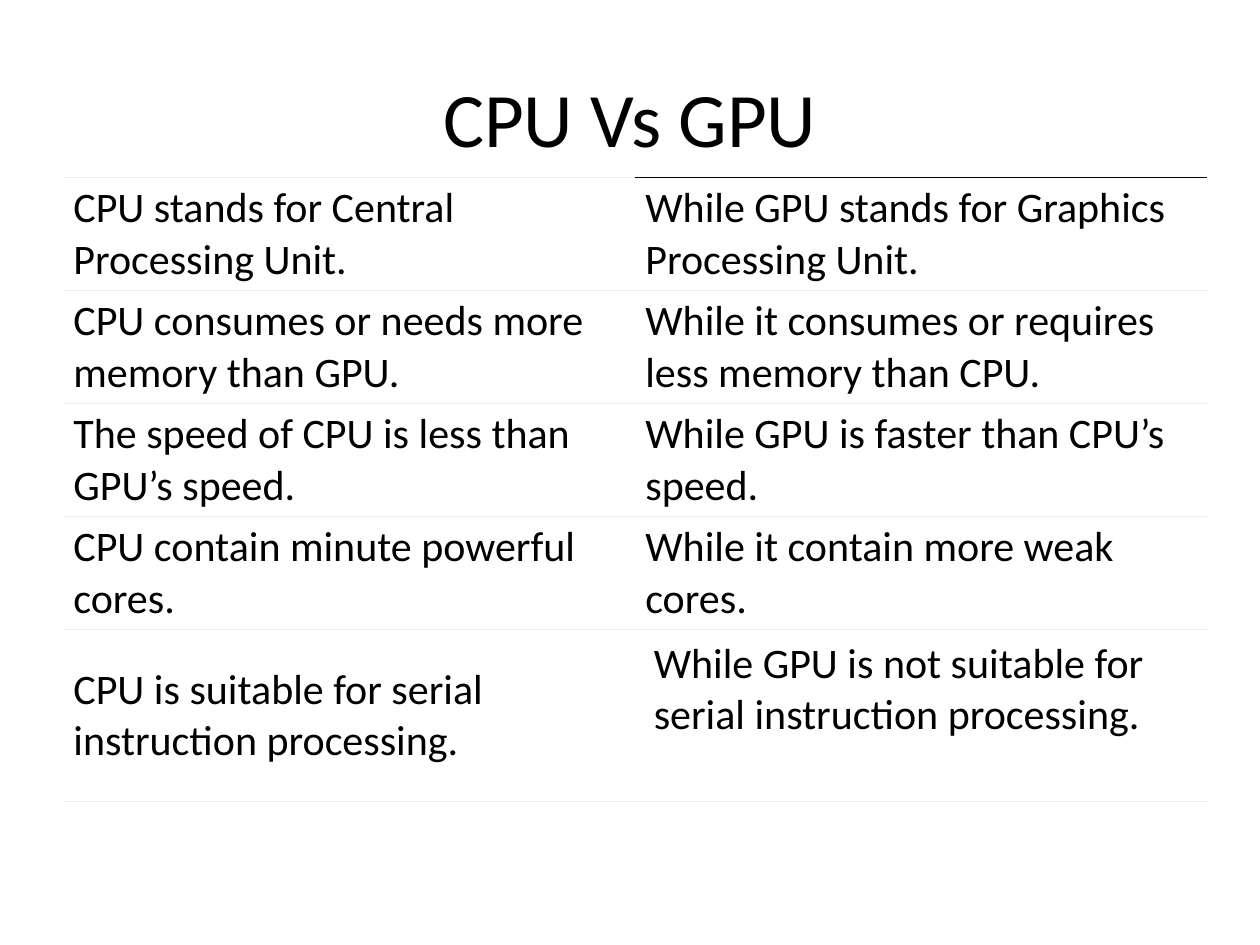
from lxml.etree import SubElement
from pptx import Presentation
from pptx.dml.color import RGBColor
from pptx.enum.text import MSO_ANCHOR, PP_ALIGN
from pptx.oxml.ns import qn
from pptx.util import Cm, Pt

COLORS = {"text": "000000", "background": "FFFFFF", "rule": "EDEDED", "accent": "000000"}
FONT = "Calibri"
COMPARISON = [
    ("CPU stands for Central Processing Unit.",
     "While GPU stands for Graphics Processing Unit."),
    ("CPU consumes or needs more memory than GPU.",
     "While it consumes or requires less memory than CPU."),
    ("The speed of CPU is less than GPU’s speed.",
     "While GPU is faster than CPU’s speed."),
    ("CPU contain minute powerful cores.",
     "While it contain more weak cores."),
    ("CPU is suitable for serial instruction processing.",
     "While GPU is not suitable for serial instruction processing."),
    ("", ""),
]
ROW_HEIGHTS = [2.28] * 4 + [3.46, 1.04]


def format_text(text_frame, size):
    for paragraph in text_frame.paragraphs:
        for run in paragraph.runs:
            run.font.name = FONT
            run.font.size = Pt(size)
            run.font.color.rgb = RGBColor.from_string(COLORS["text"])


def add_title(slide, text):
    title = slide.shapes.title
    title.left, title.top, title.width, title.height = Cm(1.27), Cm(0.76), Cm(22.86), Cm(3.18)
    text_frame = title.text_frame
    text_frame.text = text
    text_frame.vertical_anchor = MSO_ANCHOR.MIDDLE
    text_frame.paragraphs[0].alignment = PP_ALIGN.CENTER
    format_text(text_frame, 44)


def set_border(cell, side, color=None, width=0.75):
    line = SubElement(cell._tc.get_or_add_tcPr(), qn(f"a:ln{side}"), w=str(Pt(width)))
    if color is None:
        SubElement(line, qn("a:noFill"))
    else:
        fill = SubElement(line, qn("a:solidFill"))
        SubElement(fill, qn("a:srgbClr"), val=COLORS[color])


def set_margins(cell, horizontal, vertical):
    cell.margin_left = cell.margin_right = Cm(horizontal)
    cell.margin_top = cell.margin_bottom = Cm(vertical)


def fill_cell(cell, text):
    cell.text = text
    cell.vertical_anchor = MSO_ANCHOR.MIDDLE
    set_margins(cell, 0.21, 0.1)
    format_text(cell.text_frame, 24)


def style_cell(cell, top, bottom):
    set_border(cell, "L")
    set_border(cell, "R")
    set_border(cell, "T", top, 1 if top == "accent" else 0.75)
    set_border(cell, "B", bottom)
    cell.fill.solid()
    cell.fill.fore_color.rgb = RGBColor.from_string(COLORS["background"])


def add_comparison_table(slide):
    frame = slide.shapes.add_table(
        len(COMPARISON), 2, Cm(1.27), Cm(3.58), Cm(23.06), Cm(sum(ROW_HEIGHTS)))
    table = frame.table
    table.first_row = False
    table.horz_banding = False
    last_row = len(COMPARISON) - 1
    for row_index, texts in enumerate(COMPARISON):
        table.rows[row_index].height = Cm(ROW_HEIGHTS[row_index])
        for column_index, text in enumerate(texts):
            cell = table.cell(row_index, column_index)
            fill_cell(cell, text)
            top = "accent" if (row_index, column_index) == (0, 1) else "rule"
            style_cell(cell, top, None if row_index == last_row else "rule")
    serial_gpu_cell = table.cell(last_row - 1, 1)
    serial_gpu_cell.vertical_anchor = MSO_ANCHOR.TOP
    set_margins(serial_gpu_cell, 0.38, 0.18)


def main():
    presentation = Presentation()
    presentation.slide_width, presentation.slide_height = Cm(25.4), Cm(19.05)
    slide = presentation.slides.add_slide(presentation.slide_layouts[5])
    add_title(slide, "CPU Vs GPU")
    add_comparison_table(slide)
    presentation.save("out.pptx")


if __name__ == "__main__":
    main()
